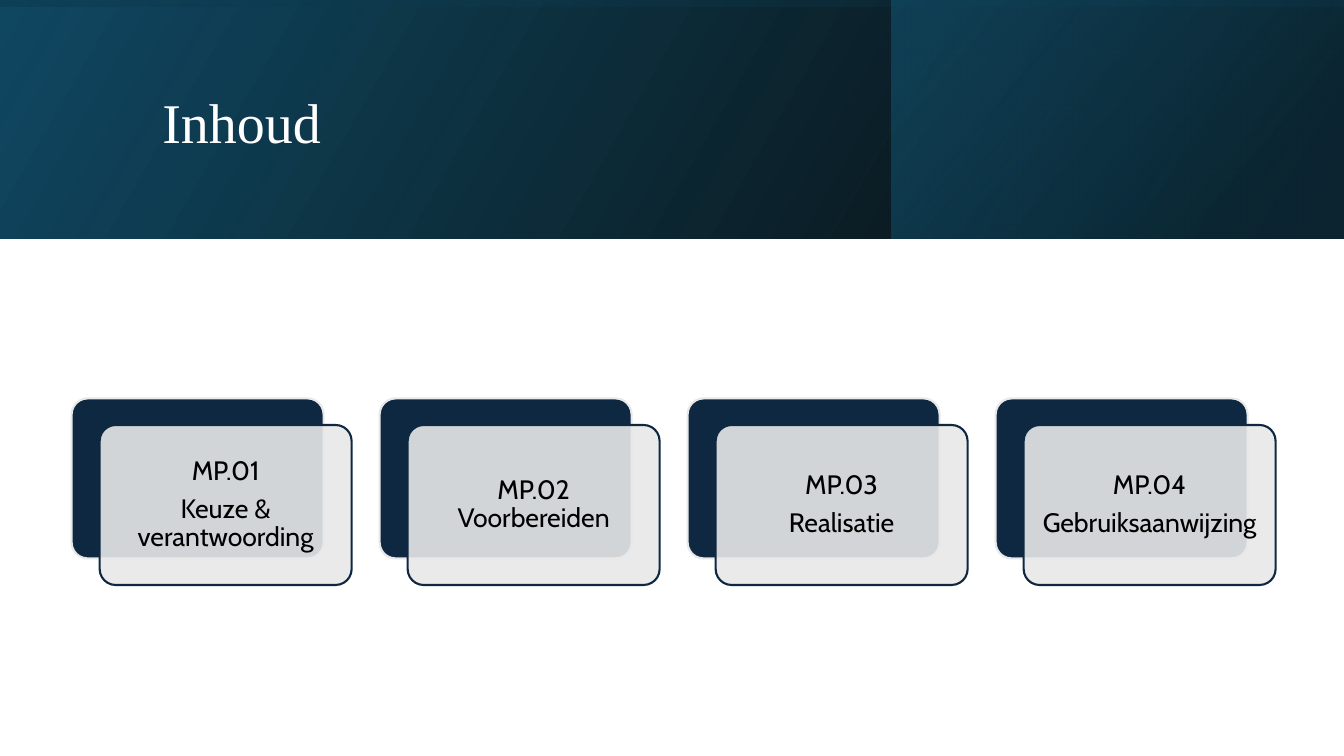
from pptx import Presentation
from pptx.dml.color import RGBColor
from pptx.enum.shapes import MSO_SHAPE
from pptx.enum.text import MSO_ANCHOR, MSO_AUTO_SIZE, PP_ALIGN
from pptx.oxml.ns import qn
from pptx.util import Pt
from lxml.etree import SubElement

COLORS = {
    "navy": "0E2841", "grey": "E8E8E8", "blue": "104862", "deep": "0B3041",
    "teal": "156082", "black": "000000", "white": "FFFFFF",
}
TITLE = "Inhoud"
CARDS = [
    ["MP.01", "Keuze & verantwoording"],
    ["MP.02 Voorbereiden"],
    ["MP.03", "Realisatie"],
    ["MP.04", "Gebruiksaanwijzing"],
]
WIDE, HIGH, BAND = 960, 540, 170.6
SIDE = 323
PANELS = [
    ((0, 0, WIDE, BAND), 0, 330, [(0, "black", 96), (100, "blue", 100)]),
    ((WIDE - SIDE, 0, SIDE, BAND), 0, 320, [(19, "deep", 68), (100, "teal", 48)]),
    (((WIDE - BAND) / 2, (BAND - WIDE) / 2, BAND, WIDE), 270, 350,
     [(23, "blue", 16), (99, "black", 45)]),
]
LEFT, TOP, STEP = 51.2, 284.6, 220
CARD_W, CARD_H = 180, 114.3
SHIFT_X, SHIFT_Y = 20, 19


def rgb(name):
    return RGBColor.from_string(COLORS[name])


def fade(fill, percent):
    for color in fill.iter(qn("a:srgbClr")):
        SubElement(color, qn("a:alpha")).set("val", str(percent * 1000))


def add_panel(slide, box, turn, angle, stops):
    panel = slide.shapes.add_shape(MSO_SHAPE.RECTANGLE, *map(Pt, box))
    panel.shadow.inherit = False
    panel.line.fill.background()
    panel.rotation = turn
    panel._element.spPr.find(qn("a:xfrm")).set("flipH", "1")
    panel.fill.gradient()
    panel.fill.gradient_angle = 360 - angle
    marks = panel._element.spPr.iter(qn("a:gs"))
    for stop, mark, (place, color, alpha) in zip(panel.fill.gradient_stops, marks, stops):
        stop.position = place / 100
        stop.color.rgb = rgb(color)
        fade(mark, alpha)


def add_card(slide, x, y, fill, line):
    card = slide.shapes.add_shape(
        MSO_SHAPE.ROUNDED_RECTANGLE, Pt(x), Pt(y), Pt(CARD_W), Pt(CARD_H))
    card.shadow.inherit = False
    card.adjustments[0] = 0.1
    card.fill.solid()
    card.fill.fore_color.rgb = rgb(fill)
    card.line.color.rgb = rgb(line)
    card.line.width = Pt(1.5)
    return card


def write(card, lines):
    frame = card.text_frame
    frame.word_wrap = True
    frame.vertical_anchor = MSO_ANCHOR.MIDDLE
    frame.margin_left = frame.margin_right = Pt(6)
    frame.margin_top = frame.margin_bottom = Pt(6)
    frame.text = "\n".join(lines)
    for para in frame.paragraphs:
        para.alignment = PP_ALIGN.CENTER
        para.line_spacing = 0.9
        para.space_after = Pt(6.65)
        para.font.name = "Cabin"
        para.font.size = Pt(19)
        para.font.color.rgb = rgb("black")


def add_title(slide):
    title = slide.shapes.title
    title.left, title.top, title.width, title.height = map(Pt, (108.7, 27.4, 765.4, 123.8))
    slide.shapes._spTree.append(title._element)
    frame = title.text_frame
    frame.text = TITLE
    frame.auto_size = MSO_AUTO_SIZE.NONE
    frame.vertical_anchor = MSO_ANCHOR.MIDDLE
    para = frame.paragraphs[0]
    para.alignment = PP_ALIGN.LEFT
    para.line_spacing = 0.9
    para.font.name = "Times New Roman"
    para.font.size = Pt(40)
    para.font.color.rgb = rgb("white")


def main():
    deck = Presentation()
    deck.slide_width, deck.slide_height = Pt(WIDE), Pt(HIGH)
    slide = deck.slides.add_slide(deck.slide_layouts[5])
    for panel in PANELS:
        add_panel(slide, *panel)
    add_title(slide)
    for index, lines in enumerate(CARDS):
        x = LEFT + index * STEP
        add_card(slide, x, TOP, "navy", "grey")
        front = add_card(slide, x + SHIFT_X, TOP + SHIFT_Y, "grey", "navy")
        fade(front._element.spPr.find(qn("a:solidFill")), 90)
        write(front, lines)
    deck.save("out.pptx")


if __name__ == "__main__":
    main()
